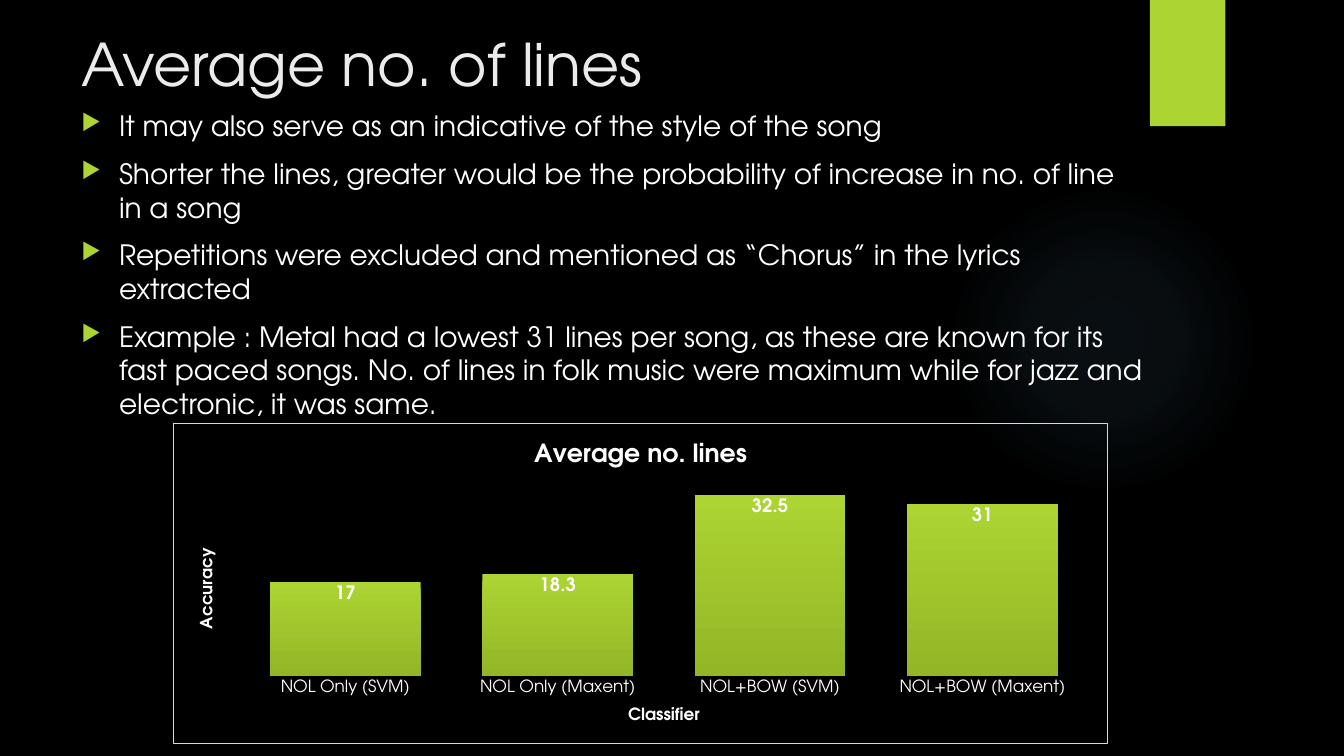
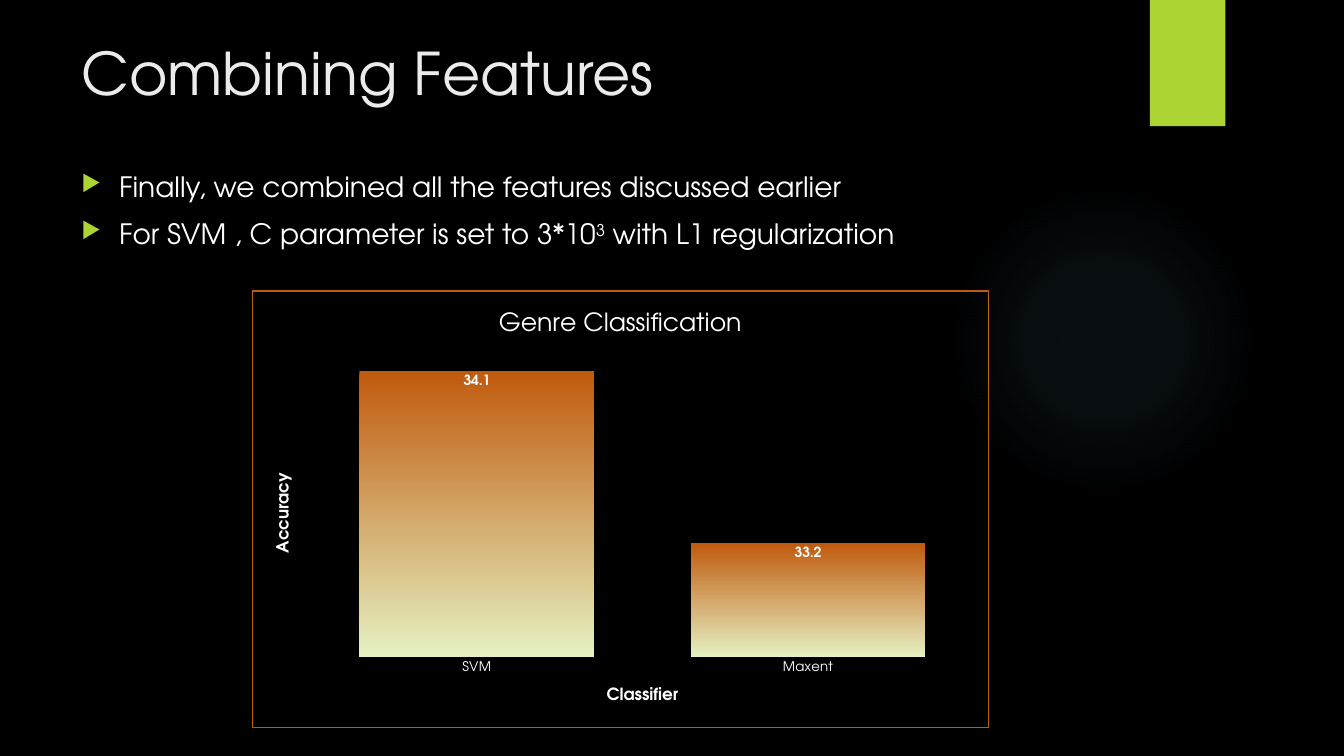
from pptx import Presentation
from pptx.chart.data import CategoryChartData
from pptx.dml.color import RGBColor
from pptx.enum.chart import XL_CHART_TYPE, XL_LABEL_POSITION, XL_TICK_MARK
from pptx.enum.shapes import MSO_SHAPE
from pptx.oxml import parse_xml
from pptx.oxml.ns import nsdecls, qn
from pptx.util import Cm, Pt

COLUMN = XL_CHART_TYPE.COLUMN_CLUSTERED
IN_END = XL_LABEL_POSITION.INSIDE_END
NO_TICK = XL_TICK_MARK.NONE
OVAL, RECT = MSO_SHAPE.OVAL, MSO_SHAPE.RECTANGLE

BLACK = RGBColor(0x00, 0x00, 0x00)
WHITE = RGBColor(0xFF, 0xFF, 0xFF)
PALE = RGBColor(0xEB, 0xEB, 0xEB)
GREY = RGBColor(0xD9, 0xD9, 0xD9)
LIME = RGBColor(0xAC, 0xD4, 0x33)
OLIVE = RGBColor(0x93, 0xB6, 0x26)
RUST = RGBColor(0xC0, 0x5A, 0x0E)
CREAM = RGBColor(0xE6, 0xF2, 0xC2)
SKY = RGBColor(0x7A, 0xC4, 0xF0)
FONT = "TeX Gyre Adventor"
LEFT = Cm(1.8)

PAGES = [
    {
        "title": "Average no. of lines",
        "head": (0.58, 26.14, 2.72),
        "body": (2.62, 27.25, 15.52),
        "points": [
            "It may also serve as an indicative of the style of the song",
            "Shorter the lines, greater would be the probability of increase in no. of line in a song",
            "Repetitions were excluded and mentioned as “Chorus” in the lyrics extracted",
            "Example : Metal had a lowest 31 lines per song, as these are known for its fast paced songs. "
            "No. of lines in folk music were maximum while for jazz and electronic, it was same.",
        ],
        "place": (4.37, 10.67, 23.55, 8.08),
        "plot": (0.07, 0.18, 0.91, 0.61),
        "name": "Average no. lines",
        "bold": True,
        "cats": ["NOL Only (SVM)", "NOL Only (Maxent)", "NOL+BOW (SVM)", "NOL+BOW (Maxent)"],
        "vals": [17, 18.3, 32.5, 31],
        "range": (0, 35),
        "fade": (LIME, OLIVE),
        "edge": GREY,
        "sizes": (12, 13.3),
    },
    {
        "title": "Combining Features",
        "head": (0.79, 26.14, 3.35),
        "body": (4.14, 26.82, 13.21),
        "points": [
            "Finally, we combined all the features discussed earlier",
            "For SVM , C parameter is set to 3*10^3^ with L1 regularization",
        ],
        "place": (6.35, 7.32, 18.57, 11.02),
        "plot": (0.08, 0.14, 0.9, 0.7),
        "name": "Genre Classification",
        "bold": False,
        "cats": ["SVM", "Maxent"],
        "vals": [34.1, 33.2],
        "range": (32.6, 34.2),
        "fade": (RUST, CREAM),
        "edge": RUST,
        "sizes": (9.5, 10),
    },
]


def style(font, size, color=WHITE, bold=False):
    font.name = FONT
    font.size = Pt(size)
    font.bold = bold
    font.color.rgb = color


def label(owner, text, size, bold):
    frame = owner.text_frame
    frame.text = text
    style(frame.paragraphs[0].runs[0].font, size, bold=bold)


deck = Presentation()
deck.slide_width, deck.slide_height = Cm(33.87), Cm(19.05)
ground = deck.slide_master.background.fill
ground.solid()
ground.fore_color.rgb = BLACK

stops = "".join(
    f'<a:gs pos="{pos}000"><a:srgbClr val="{SKY}"><a:alpha val="{alpha}000"/></a:srgbClr></a:gs>'
    for pos, alpha in [(0, 7), (36, 6), (69, 0)]
)
GLOW = (
    f'<a:gradFill {nsdecls("a")}><a:gsLst>{stops}</a:gsLst><a:path path="circle">'
    '<a:fillToRect l="50000" t="50000" r="50000" b="50000"/></a:path></a:gradFill>'
)

for page in PAGES:
    slide = deck.slides.add_slide(deck.slide_layouts[6])
    shapes = slide.shapes

    glow = shapes.add_shape(OVAL, Cm(23.9), Cm(4.65), Cm(7.82), Cm(7.82))
    glow.fill.background()
    blank = glow.element.spPr.find(qn("a:noFill"))
    glow.element.spPr.replace(blank, parse_xml(GLOW))
    band = shapes.add_shape(RECT, Cm(28.98), 0, Cm(1.9), Cm(3.18))
    band.fill.solid()
    band.fill.fore_color.rgb = LIME
    for shape in (glow, band):
        shape.line.fill.background()
        shape.shadow.inherit = False

    head = shapes.add_textbox(LEFT, *map(Cm, page["head"])).text_frame
    head.word_wrap = True
    head.text = page["title"]
    style(head.paragraphs[0].runs[0].font, 42, PALE)

    body = shapes.add_textbox(LEFT, *map(Cm, page["body"])).text_frame
    body.word_wrap = True
    for row, point in enumerate(page["points"]):
        para = body.add_paragraph() if row else body.paragraphs[0]
        para.space_before = Pt(10)
        props = para._p.get_or_add_pPr()
        props.set("marL", str(Cm(0.95)))
        props.set("indent", str(-Cm(0.95)))
        for mark in (
            f'<a:buClr {nsdecls("a")}><a:srgbClr val="{LIME}"/></a:buClr>',
            f'<a:buSzPct {nsdecls("a")} val="80000"/>',
            f'<a:buChar {nsdecls("a")} char="▶"/>',
        ):
            props.append(parse_xml(mark))
        for part, text in enumerate(point.split("^")):
            run = para.add_run()
            run.text = text
            style(run.font, 20)
            if part % 2:
                run._r.get_or_add_rPr().set("baseline", "30000")

    data = CategoryChartData()
    data.categories = page["cats"]
    data.add_series("Series 1", page["vals"])
    chart = shapes.add_chart(COLUMN, *map(Cm, page["place"]), data).chart
    style(chart.font, 10)
    chart.has_legend = False
    label(chart.chart_title, page["name"], 18, page["bold"])

    tick_size, value_size = page["sizes"]
    base = chart.category_axis
    base.major_tick_mark = NO_TICK
    base.format.line.fill.background()
    style(base.tick_labels.font, tick_size)
    label(base.axis_title, "Classifier", 12, True)
    scale = chart.value_axis
    scale.minimum_scale, scale.maximum_scale = page["range"]
    scale.has_major_gridlines = False
    scale.visible = False
    label(scale.axis_title, "Accuracy", 12, True)

    plot = chart.plots[0]
    plot.gap_width = 41
    plot.vary_by_categories = False
    plot.has_data_labels = True
    tags = plot.data_labels
    tags.show_value = True
    tags.position = IN_END
    style(tags.font, value_size, bold=True)
    fill = plot.series[0].format.fill
    fill.gradient()
    fill.gradient_angle = 270
    for stop, color in zip(fill.gradient_stops, page["fade"]):
        stop.color.rgb = color

    root = chart.element.find(qn("c:chart"))
    root.addnext(parse_xml(
        f'<c:spPr {nsdecls("c", "a")}><a:noFill/><a:ln w="{Pt(0.75)}"><a:solidFill>'
        f'<a:srgbClr val="{page["edge"]}"/></a:solidFill></a:ln></c:spPr>'
    ))
    area = root.find(qn("c:plotArea"))
    for old in area.findall(qn("c:layout")):
        area.remove(old)
    spots = "".join(f'<c:{key} val="{val}"/>' for key, val in zip("xywh", page["plot"]))
    area.insert(0, parse_xml(
        f'<c:layout {nsdecls("c")}><c:manualLayout><c:layoutTarget val="inner"/>'
        f'<c:xMode val="edge"/><c:yMode val="edge"/>{spots}</c:manualLayout></c:layout>'
    ))

deck.save("out.pptx")
